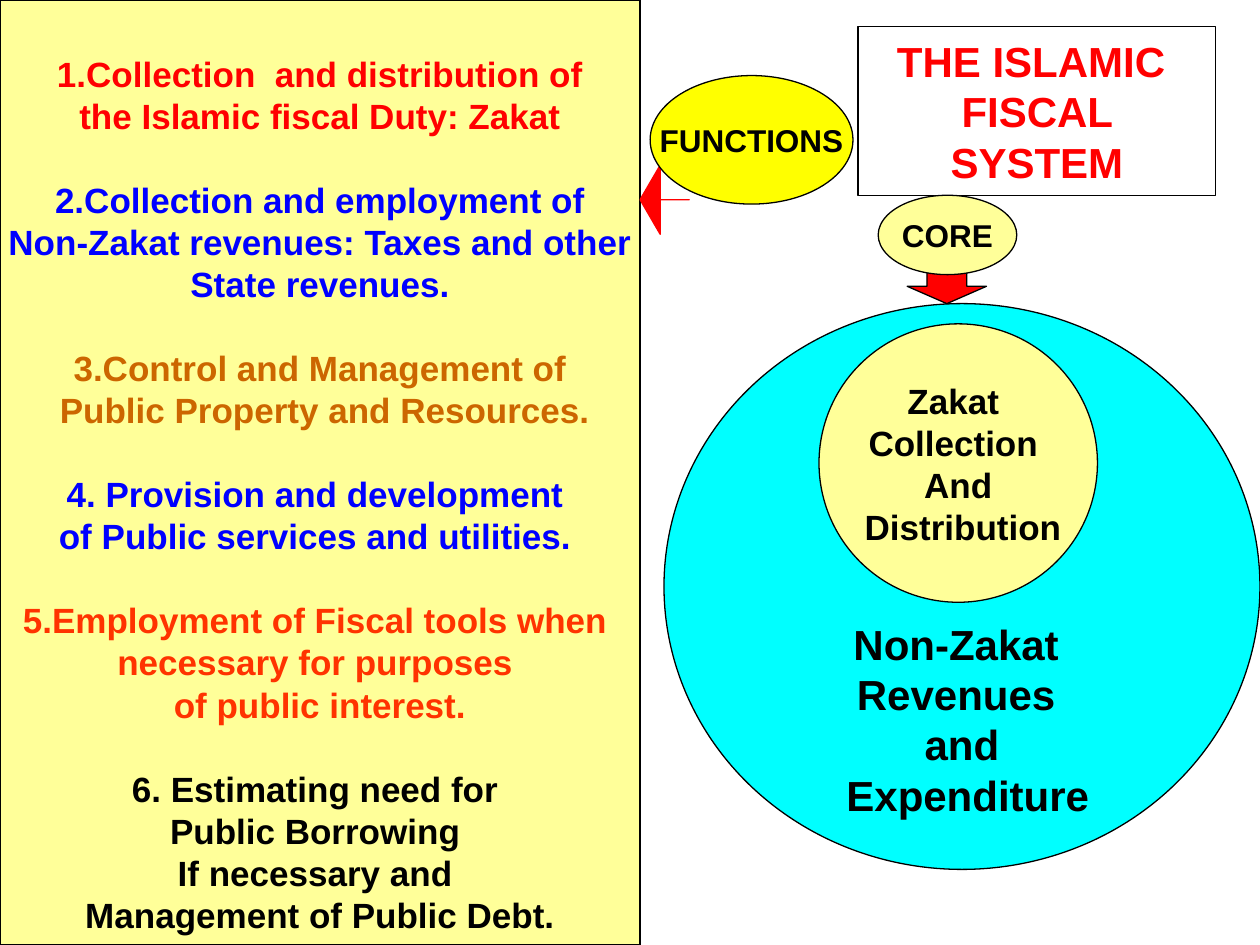
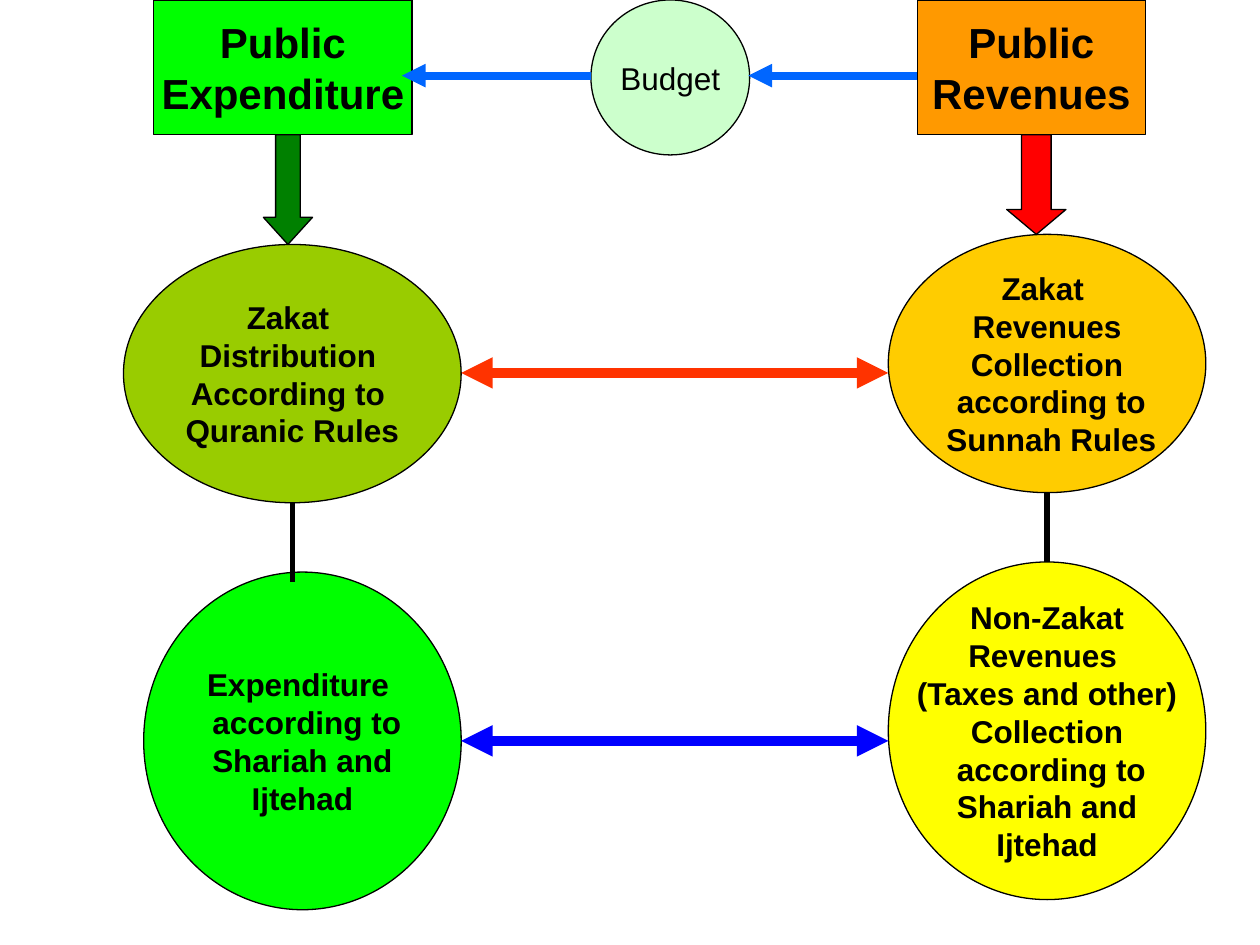
from lxml import etree
from pptx import Presentation
from pptx.dml.color import RGBColor
from pptx.enum.shapes import MSO_CONNECTOR, MSO_SHAPE
from pptx.enum.text import MSO_ANCHOR, MSO_AUTO_SIZE, PP_ALIGN
from pptx.oxml.ns import qn
from pptx.util import Inches, Pt

RECTANGLE, OVAL = MSO_SHAPE.RECTANGLE, MSO_SHAPE.OVAL
LEFT_ARROW, DOWN_ARROW = MSO_SHAPE.LEFT_ARROW, MSO_SHAPE.DOWN_ARROW
STRAIGHT = MSO_CONNECTOR.STRAIGHT
CENTER, MIDDLE, NO_AUTOFIT = PP_ALIGN.CENTER, MSO_ANCHOR.MIDDLE, MSO_AUTO_SIZE.NONE

FONT = "Arial"
LINE_PITCH = 1.2
COLOURS = {
    "black": "000000", "white": "FFFFFF", "red": "FF0000", "vermilion": "FF3300",
    "blue": "0000FF", "azure": "0066FF", "brown": "CC6600", "cyan": "00FFFF",
    "cream": "FFFF99", "yellow": "FFFF00", "gold": "FFCC00", "orange": "FF9900",
    "green": "00FF00", "dark green": "008000", "olive": "99CC00", "mint": "CCFFCC",
}
PALETTE = {name: RGBColor.from_string(value) for name, value in COLOURS.items()}


def style_shape(shape, fill, lines=(), size=18, colour="black", border="black", bold=True):
    """Give a shape its flat fill, thin border and centred lines of text."""
    shape.fill.solid()
    shape.fill.fore_color.rgb = PALETTE[fill]
    shape.line.color.rgb = PALETTE[border]
    shape.line.width = Pt(0.75)
    if not lines:
        return
    frame = shape.text_frame
    frame.text = "\n".join(lines)
    frame.word_wrap = False
    frame.auto_size = NO_AUTOFIT
    frame.vertical_anchor = MIDDLE
    for paragraph in frame.paragraphs:
        paragraph.alignment = CENTER
        paragraph.line_spacing = Pt(size * LINE_PITCH)
        paragraph.space_before = Pt(0)
        paragraph.font.name = FONT
        paragraph.font.size = Pt(size)
        paragraph.font.bold = bold
        paragraph.font.color.rgb = PALETTE[colour]


def add_shape(slide, preset, box, fill, adjustments=(), **style):
    """Add a preset shape without shadow; box is left, top, width, height in inches."""
    shape = slide.shapes.add_shape(preset, *map(Inches, box))
    shape.shadow.inherit = False
    for index, value in enumerate(adjustments):
        shape.adjustments[index] = value
    style_shape(shape, fill, **style)
    return shape


presentation = Presentation()
presentation.slide_width, presentation.slide_height = Inches(10), Inches(7.5)
title_only, blank = presentation.slide_layouts[5], presentation.slide_layouts[6]

# Slide 1: functions and core of the fiscal system
slide = presentation.slides.add_slide(title_only)
title = slide.shapes.title
title.left, title.top, title.width, title.height = map(Inches, (6.81, 0.21, 2.84, 1.34))
style_shape(title, "white", ["THE ISLAMIC ", "FISCAL SYSTEM"], 24, "red")

revenues_circle = add_shape(
    slide, OVAL, (5.27, 2.41, 4.73, 4.49), "cyan",
    lines=["Non-Zakat ", "Revenues ", "and", " Expenditure"], size=24)
revenues_circle.text_frame.margin_top = Inches(2.15)
add_shape(slide, OVAL, (6.5, 2.57, 2.21, 2.21), "cream",
          lines=["Zakat ", "Collection ", "And", " Distribution"], size=20)

functions = [
    ("red", ["1.Collection  and distribution of", "the Islamic fiscal Duty: Zakat"]),
    ("blue", ["2.Collection and employment of",
              " Non-Zakat revenues: Taxes and other ", "State revenues."]),
    ("brown", ["3.Control and Management of", " Public Property and Resources."]),
    ("blue", ["4. Provision and development ", "of Public services and utilities. "]),
    ("vermilion", ["5.Employment of Fiscal tools when ", "necessary for purposes ",
                   "of public interest."]),
    ("black", ["6. Estimating need for ", "Public Borrowing ", "If necessary and ",
               "Management of Public Debt."]),
]
panel = add_shape(slide, RECTANGLE, (0, 0, 5.08, 7.5), "cream", size=20,
                  lines=[line for _, lines in functions for line in lines])
panel.text_frame.margin_top = Inches(0.42)
panel.text_frame.margin_bottom = Inches(0.08)
paragraphs = iter(panel.text_frame.paragraphs)
for number, (colour, lines) in enumerate(functions):
    for position in range(len(lines)):
        paragraph = next(paragraphs)
        paragraph.font.color.rgb = PALETTE[colour]
        if number and position == 0:
            paragraph.space_before = Pt(20 * LINE_PITCH)

add_shape(slide, LEFT_ARROW, (5.08, 1.31, 0.39, 0.55), "red", (0, 0.41), border="red")
add_shape(slide, DOWN_ARROW, (7.2, 1.86, 0.63, 0.55), "red", (0.5, 0.25))
add_shape(slide, OVAL, (6.97, 1.55, 1.1, 0.63), "cream", lines=["CORE"])
add_shape(slide, OVAL, (5.16, 0.6, 1.61, 1.02), "yellow", lines=["FUNCTIONS"])

# Slide 2: revenues, budget and expenditure
slide = presentation.slides.add_slide(blank)
ovals = [
    ((7.05, 1.86, 2.52, 2.05), "gold",
     ["Zakat ", "Revenues", "Collection", " according to", " Sunnah Rules"]),
    ((0.98, 1.94, 2.68, 2.05), "olive",
     ["Zakat ", "Distribution ", "According to ", "Quranic Rules"]),
    ((7.05, 4.46, 2.52, 2.68), "yellow",
     ["Non-Zakat", "Revenues ", "(Taxes and other)", "Collection", " according to",
      " Shariah and ", "Ijtehad"]),
    ((1.14, 4.54, 2.52, 2.68), "green",
     ["Expenditure ", " according to", " Shariah and ", "Ijtehad"]),
]
for box, fill, lines in ovals:
    add_shape(slide, OVAL, box, fill, lines=lines)

for left, width, fill, word in [(1.22, 2.05, "green", "Expenditure"),
                                (7.28, 1.81, "orange", "Revenues")]:
    add_shape(slide, RECTANGLE, (left, 0, width, 1.07), fill, lines=["Public", word], size=24)

add_shape(slide, DOWN_ARROW, (7.99, 1.07, 0.47, 0.79), "red", (0.5, 0.42))
add_shape(slide, DOWN_ARROW, (2.09, 1.07, 0.39, 0.87), "dark green", (0.5, 0.55))
add_shape(slide, OVAL, (4.69, 0, 1.26, 1.23), "mint", lines=["Budget"], bold=False)

# Start, end, colour, width and arrowheads of each line
links = [
    ((3.66, 2.96), (7.05, 2.96), "vermilion", 6, ["a:headEnd", "a:tailEnd"]),
    ((3.66, 5.88), (7.05, 5.88), "blue", 6, ["a:headEnd", "a:tailEnd"]),
    ((7.28, 0.6), (5.94, 0.6), "azure", 4.5, ["a:tailEnd"]),
    ((4.69, 0.6), (3.19, 0.6), "azure", 4.5, ["a:tailEnd"]),
    ((8.31, 3.91), (8.31, 4.46), "black", 3, []),
    ((2.32, 3.99), (2.32, 4.62), "black", 3, []),
]
for start, end, colour, width, arrowheads in links:
    connector = slide.shapes.add_connector(STRAIGHT, *map(Inches, start + end))
    connector.line.color.rgb = PALETTE[colour]
    connector.line.width = Pt(width)
    properties = connector.element.spPr
    outline = properties.find(qn("a:ln"))
    for arrowhead in arrowheads:
        etree.SubElement(outline, qn(arrowhead), type="triangle")
    etree.SubElement(properties, qn("a:effectLst"))

presentation.save("out.pptx")
